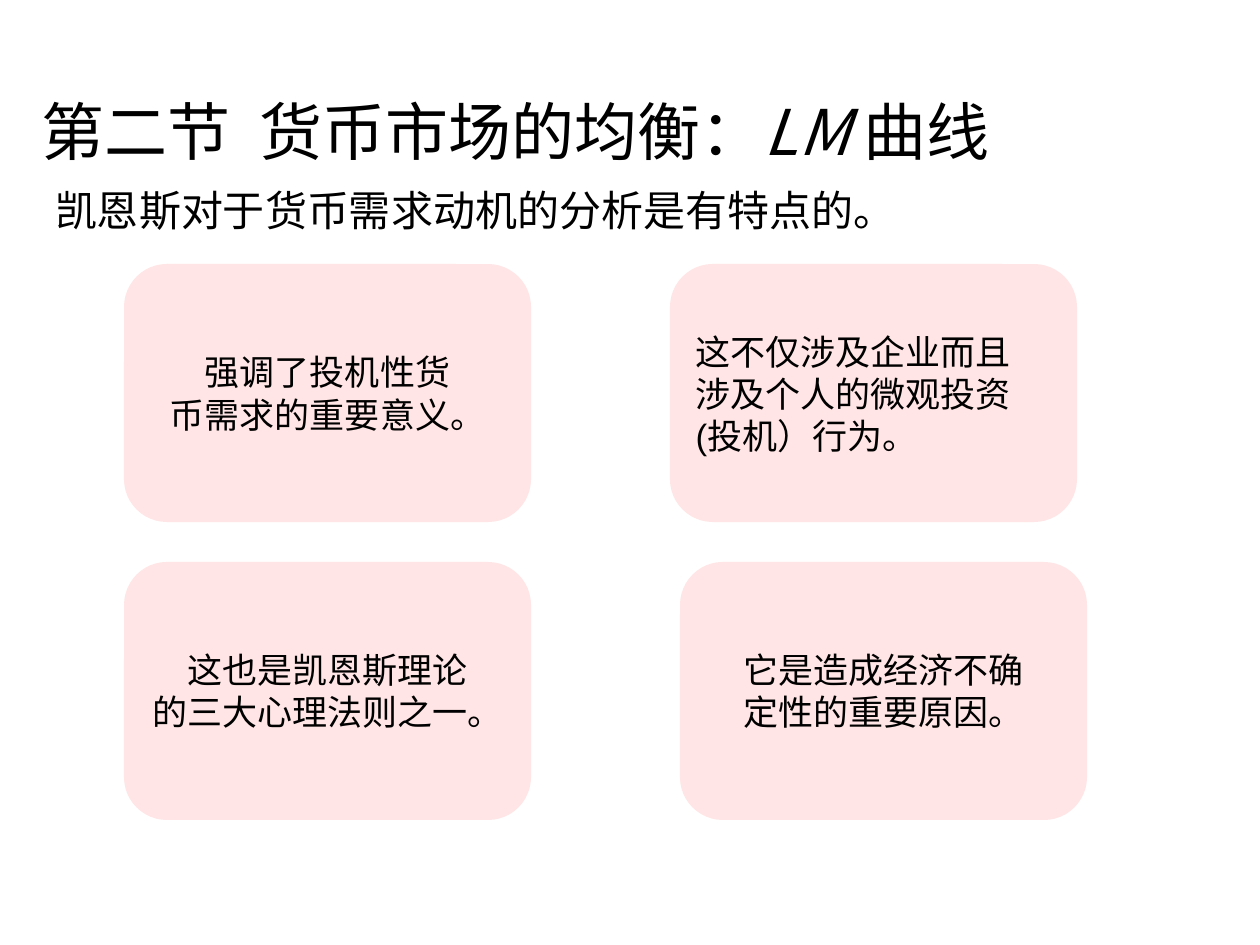
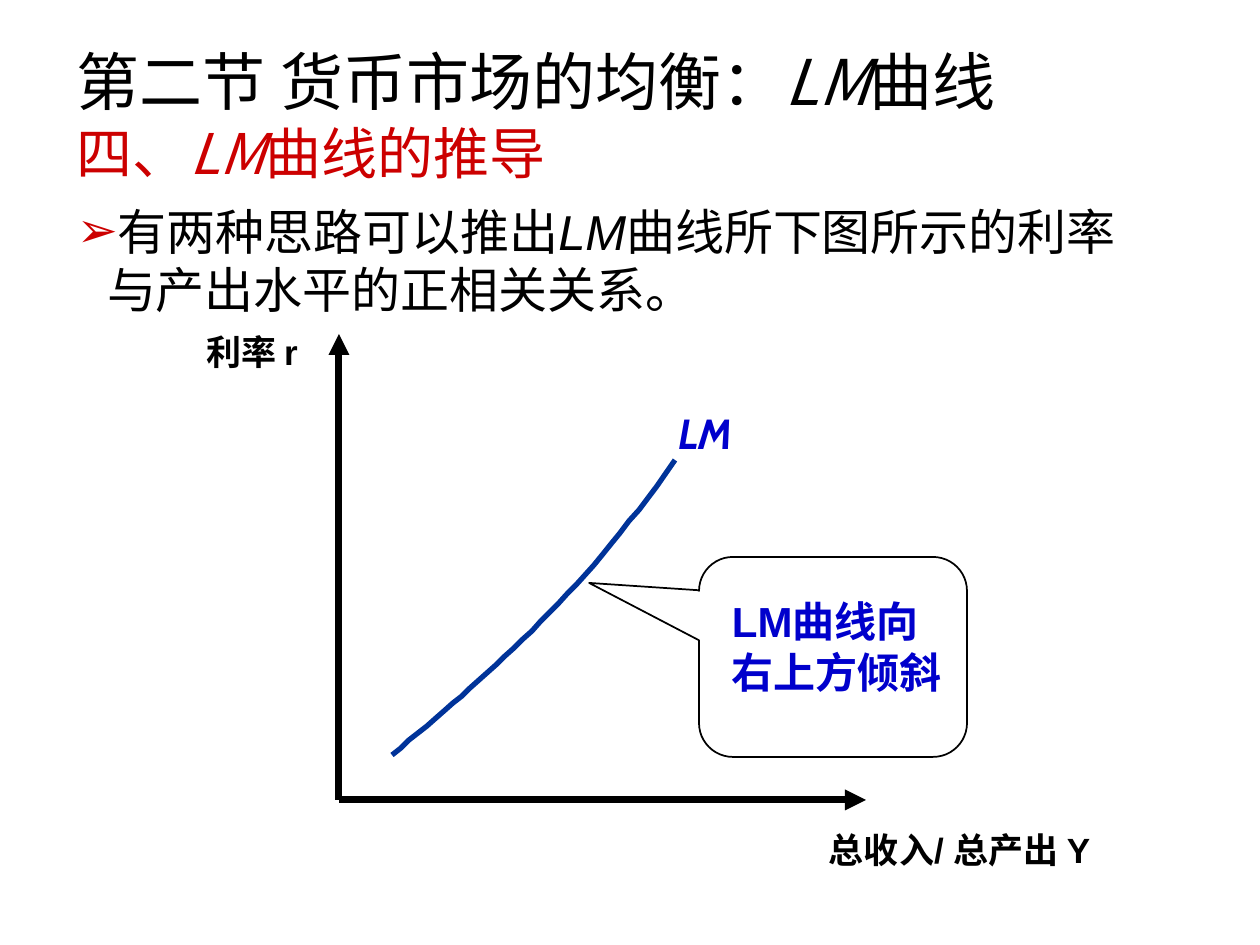
from dataclasses import dataclass
from typing import Any

import pptx
import pptx.dml.color
import pptx.enum.dml
import pptx.enum.shapes
import pptx.enum.text
import pptx.oxml
import pptx.oxml.ns
import pptx.util

RGBColor = pptx.dml.color.RGBColor
Align = pptx.enum.text.PP_ALIGN
Anchor = pptx.enum.text.MSO_ANCHOR
ShapeKind = pptx.enum.shapes.MSO_SHAPE

EMU_PER_PX = 914400 / 126
SLIDE_WIDTH, SLIDE_HEIGHT = 1260, 945
INSET_X, INSET_Y = 13, 6

BLACK = RGBColor(0x00, 0x00, 0x00)
RED = RGBColor(0xCC, 0x00, 0x00)
LABEL_BLUE = RGBColor(0x00, 0x00, 0xCC)
CURVE_BLUE = RGBColor(0x00, 0x33, 0x99)
CARD_PINK = RGBColor(0xFF, 0xE5, 0xE5)

CJK_FONT = "Noto Sans CJK SC"
TITLE = {"name": CJK_FONT, "size": pptx.util.Pt(36), "bold": False}
SUBTITLE = TITLE | {"size": pptx.util.Pt(32)}
BODY = {"name": "Arial", "size": pptx.util.Pt(28), "bold": False}
LEAD = BODY | {"size": pptx.util.Pt(24)}
CARD_TEXT = BODY | {"size": pptx.util.Pt(20)}
AXIS_LABEL = CARD_TEXT | {"bold": True}
CALLOUT_TEXT = LEAD | {"bold": True}
CURVE_LABEL = CALLOUT_TEXT | {"name": "Cabin", "italic": True}
ITALIC = {"italic": True}


@dataclass(frozen=True)
class Box:
    left: int
    top: int
    width: int
    height: int

    def emu(self) -> tuple[int, ...]:
        return tuple(px(value) for value in (self.left, self.top, self.width, self.height))


@dataclass(frozen=True)
class Run:
    text: str
    style: dict[str, Any]
    color: RGBColor = BLACK
    spacing: int = 0


@dataclass(frozen=True)
class Card:
    left: int
    top: int
    lines: tuple[str, ...]
    alignment: Any = Align.CENTER


@dataclass(frozen=True)
class Label:
    box: Box
    run: Run


CARD_WIDTH, CARD_HEIGHT = 407, 258
CARDS = (
    Card(124, 264, ("强调了投机性货", "币需求的重要意义。")),
    Card(670, 264, ("这不仅涉及企业而且", "涉及个人的微观投资", "(投机）行为。"), Align.LEFT),
    Card(124, 562, ("这也是凯恩斯理论", "的三大心理法则之一。")),
    Card(680, 562, ("它是造成经济不确", "定性的重要原因。")),
)

ORIGIN = (339, 800)
AXIS_ENDS = ((339, 334), (866, 800))
CURVE_CONTROLS = ((392, 755), (485, 677), (577, 600), (675, 460))
CURVE_STEPS = 32
CALLOUT_BOX = Box(699, 557, 268, 200)
CALLOUT_ADJUSTMENTS = (-0.91, -0.37, 0.17)
LABELS = (
    Label(Box(193, 324, 156, 55), Run("利率 r", AXIS_LABEL)),
    Label(Box(816, 822, 290, 97), Run("总收入/ 总产出 Y", AXIS_LABEL)),
    Label(Box(665, 402, 105, 63), Run("LM", CURVE_LABEL, LABEL_BLUE)),
    Label(Box(719, 590, 238, 113), Run("LM曲线向右上方倾斜", CALLOUT_TEXT, LABEL_BLUE)),
)


def px(value: float) -> int:
    return round(value * EMU_PER_PX)


def apply_format(target: Any, values: dict[str, Any]) -> None:
    for name, value in values.items():
        setattr(target, name, value)


def add_runs(paragraph: Any, runs: tuple[Run, ...]) -> None:
    for item in runs:
        run = paragraph.add_run()
        run.text = item.text
        apply_format(run.font, item.style)
        run.font.color.rgb = item.color
        properties = run.font._element
        if item.spacing:
            properties.set("spc", str(item.spacing))
        latin = properties.find(pptx.oxml.ns.qn("a:latin"))
        latin.addnext(make_element("ea", f'typeface="{CJK_FONT}"'))


def make_element(tag: str, attributes: str = "", content: str = "") -> Any:
    namespace = pptx.oxml.ns.nsdecls("a")
    return pptx.oxml.parse_xml(f"<a:{tag} {namespace} {attributes}>{content}</a:{tag}>")


def format_frame(frame: Any, inset_x: int, inset_y: int, anchor: Any, wrap: bool = True) -> None:
    apply_format(frame, {
        "word_wrap": wrap,
        "auto_size": pptx.enum.text.MSO_AUTO_SIZE.NONE,
        "vertical_anchor": anchor,
        "margin_left": px(inset_x),
        "margin_right": px(inset_x),
        "margin_top": px(inset_y),
        "margin_bottom": px(inset_y),
    })


def place(placeholder: Any, box: Box) -> Any:
    apply_format(placeholder, dict(zip(("left", "top", "width", "height"), box.emu())))
    paragraph = placeholder.text_frame.paragraphs[0]
    apply_format(paragraph, {"alignment": Align.LEFT, "space_before": pptx.util.Pt(0)})
    return paragraph


def fill_title(slide: Any, box: Box, inset_x: int, lines: tuple[tuple[Run, ...], ...]) -> None:
    title = slide.shapes.title
    paragraph = place(title, box)
    format_frame(title.text_frame, inset_x, 0, Anchor.MIDDLE)
    for index, runs in enumerate(lines):
        if index:
            paragraph.add_line_break()
        add_runs(paragraph, runs)


def fill_body(slide: Any, box: Box, inset: tuple[int, int], runs: tuple[Run, ...],
              hanging: int = 0) -> None:
    body = slide.placeholders[1]
    paragraph = place(body, box)
    format_frame(body.text_frame, *inset, Anchor.TOP)
    properties = paragraph._p.get_or_add_pPr()
    properties.set("marL", str(px(hanging)))
    properties.set("indent", str(-px(hanging)))
    if hanging:
        properties.append(make_element("buClr", content=f'<a:srgbClr val="{RED}"/>'))
        properties.append(make_element("buFont", 'typeface="Arial"'))
        properties.append(make_element("buChar", 'char="➢"'))
    else:
        properties.append(make_element("buNone"))
    add_runs(paragraph, runs)


def add_card(slide: Any, card: Card) -> None:
    box = Box(card.left, card.top, CARD_WIDTH, CARD_HEIGHT)
    shape = slide.shapes.add_shape(ShapeKind.ROUNDED_RECTANGLE, *box.emu())
    shape.shadow.inherit = False
    shape.fill.solid()
    shape.fill.fore_color.rgb = CARD_PINK
    shape.line.fill.background()
    frame = shape.text_frame
    format_frame(frame, INSET_X, INSET_Y, Anchor.MIDDLE, wrap=False)
    for index, line in enumerate(card.lines):
        paragraph = frame.add_paragraph() if index else frame.paragraphs[0]
        paragraph.alignment = card.alignment
        add_runs(paragraph, (Run(line, CARD_TEXT),))


def set_line(line: Any, color: RGBColor, points: int) -> None:
    line.color.rgb = color
    line.width = pptx.util.Pt(points)


def add_axis(slide: Any, end: tuple[int, int]) -> None:
    axis = slide.shapes.add_connector(
        pptx.enum.shapes.MSO_CONNECTOR.STRAIGHT, *(px(value) for value in ORIGIN + end))
    set_line(axis.line, BLACK, 4)
    axis.line._get_or_add_ln().append(make_element("tailEnd", 'type="triangle"'))
    axis._element.spPr.append(make_element("effectLst"))


def curve_point(t: float) -> tuple[float, float]:
    weights = ((1 - t) ** 3, 3 * t * (1 - t) ** 2, 3 * t ** 2 * (1 - t), t ** 3)
    x, y = (sum(weight * value for weight, value in zip(weights, values))
            for values in zip(*CURVE_CONTROLS))
    return x, y


def add_curve(slide: Any) -> None:
    points = [curve_point(step / CURVE_STEPS) for step in range(CURVE_STEPS + 1)]
    builder = slide.shapes.build_freeform(*points[0], scale=EMU_PER_PX)
    builder.add_line_segments(points[1:], close=False)
    curve = builder.convert_to_shape()
    curve.shadow.inherit = False
    curve.fill.background()
    set_line(curve.line, CURVE_BLUE, 3)


def add_callout(slide: Any) -> None:
    callout = slide.shapes.add_shape(ShapeKind.ROUNDED_RECTANGULAR_CALLOUT, *CALLOUT_BOX.emu())
    for index, value in enumerate(CALLOUT_ADJUSTMENTS):
        callout.adjustments[index] = value
    callout.shadow.inherit = False
    callout.fill.background()
    set_line(callout.line, BLACK, 1)


def add_label(slide: Any, label: Label) -> None:
    frame = slide.shapes.add_textbox(*label.box.emu()).text_frame
    format_frame(frame, INSET_X, INSET_Y, Anchor.TOP)
    add_runs(frame.paragraphs[0], (label.run,))


def build_motives_slide(slide: Any) -> None:
    fill_title(slide, Box(41, 84, 1180, 92), 0, ((
        Run("第二节", TITLE),
        Run(" ", TITLE, spacing=900),
        Run("货币市场的均衡：", TITLE),
        Run("LM ", TITLE | ITALIC),
        Run("曲线", TITLE),
    ),))
    fill_body(slide, Box(55, 184, 1160, 56), (0, 0),
              (Run("凯恩斯对于货币需求动机的分析是有特点的。", LEAD),))
    for card in CARDS:
        add_card(slide, card)


def build_curve_slide(slide: Any) -> None:
    fill_title(slide, Box(64, 55, 1134, 118), INSET_X, (
        (Run("第二节 货币市场的均衡：", TITLE), Run("LM", TITLE | ITALIC), Run("曲线", TITLE)),
        (Run("四、", SUBTITLE, RED), Run("LM", SUBTITLE | ITALIC, RED),
         Run("曲线的推导", SUBTITLE, RED)),
    ))
    fill_body(slide, Box(64, 195, 1111, 130), (INSET_X, INSET_Y), (
        Run("有两种思路可以推出", BODY),
        Run("LM", BODY | ITALIC),
        Run("曲线所下图所示的利率与产出水平的正相关关系。", BODY),
    ), hanging=30)
    for end in AXIS_ENDS:
        add_axis(slide, end)
    add_curve(slide)
    add_callout(slide)
    for label in LABELS:
        add_label(slide, label)


def main() -> None:
    presentation = pptx.Presentation()
    presentation.slide_width = px(SLIDE_WIDTH)
    presentation.slide_height = px(SLIDE_HEIGHT)
    layout = presentation.slide_layouts[1]
    for build in (build_motives_slide, build_curve_slide):
        build(presentation.slides.add_slide(layout))
    presentation.save("out.pptx")


if __name__ == "__main__":
    main()
